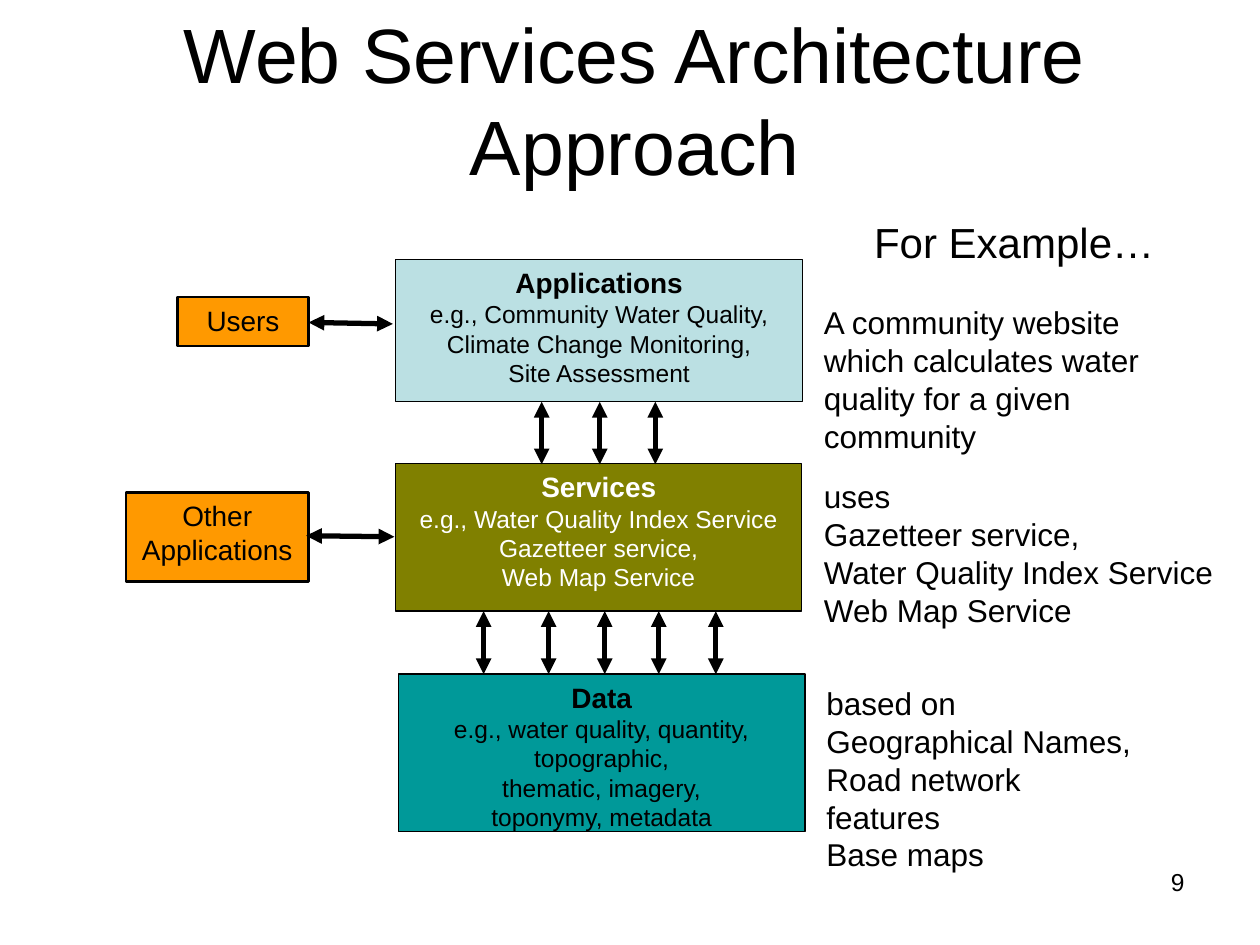
"""Build the web services architecture slide with its layers, clients and example notes."""
from lxml import etree
from pptx import Presentation
from pptx.dml.color import RGBColor
from pptx.enum.shapes import MSO_CONNECTOR, MSO_SHAPE
from pptx.enum.text import MSO_ANCHOR, PP_ALIGN
from pptx.oxml.ns import qn
from pptx.util import Cm, Pt

RECTANGLE, STRAIGHT = MSO_SHAPE.RECTANGLE, MSO_CONNECTOR.STRAIGHT
TOP, MIDDLE = MSO_ANCHOR.TOP, MSO_ANCHOR.MIDDLE
LEFT, CENTER, RIGHT = PP_ALIGN.LEFT, PP_ALIGN.CENTER, PP_ALIGN.RIGHT
FONT, BLACK, WHITE, ORANGE = "Arial", "000000", "FFFFFF", "FF9900"

TITLE = "Web Services Architecture Approach"
TITLE_PLACE = (1.47, 0, 22.66, 3.99)
LAYERS = [
    ((7.98, 5.23, 8.2, 2.87), "BBE0E3", BLACK,
     ["Applications", "e.g., Community Water Quality,", "Climate Change Monitoring,",
      "Site Assessment"]),
    ((7.98, 9.35, 8.18, 2.97), "808000", WHITE,
     ["Services", "e.g., Water Quality Index Service", "Gazetteer service,",
      "Web Map Service"]),
    ((8.03, 13.59, 8.2, 3.18), "009999", BLACK,
     ["Data", "e.g., water quality, quantity,", "topographic,", "thematic, imagery,",
      "toponymy, metadata"]),
]
CLIENTS = [
    ((3.58, 5.99, 2.64, 0.99), ["Users"]),
    ((2.54, 9.93, 3.68, 1.8), ["Other", "Applications"]),
]
NOTES = [
    ((17.37, 4.24, 6.15, 1.27), 24, CENTER, False, ["For Example…"]),
    ((16.36, 5.99, 7.9, 2.34), 18, LEFT, True,
     ["A community website which calculates water quality for a given community"]),
    ((16.36, 9.5, 8.38, 3.3), 18, LEFT, False,
     ["uses", "Gazetteer service,", "Water Quality Index Service", "Web Map Service"]),
    ((16.41, 13.67, 6.88, 3.3), 18, LEFT, False,
     ["based on", "Geographical Names,", "Road network features", "Base maps"]),
    ((18.21, 17.35, 5.92, 1.32), 14, RIGHT, True, ["9"]),
]
LAYER_ARROWS = [
    (8.1, 9.36, [10.92, 12.09, 13.21]),
    (12.32, 13.59, [9.75, 11.06, 12.19, 13.28, 14.43]),
]
CLIENT_ARROWS = [(7.92, 6.53, 6.22, 6.5), (7.95, 10.82, 6.17, 10.8)]


def color(value):
    return RGBColor.from_string(value)


def write(shape, lines, sizes, text_color=BLACK, align=CENTER, wrap=True,
          anchor=TOP, bold_first=False):
    """Fill a shape with lines, the first in sizes[0] and the rest in sizes[-1]."""
    frame = shape.text_frame
    frame.text = "\n".join(lines)
    frame.word_wrap = wrap
    frame.vertical_anchor = anchor
    for index, para in enumerate(frame.paragraphs):
        para.alignment = align
        for span in para.runs:
            span.font.name = FONT
            span.font.size = Pt(sizes[0] if index == 0 else sizes[-1])
            span.font.bold = bold_first and index == 0
            span.font.color.rgb = color(text_color)


def add_box(slide, place, fill, line_width):
    box = slide.shapes.add_shape(RECTANGLE, *map(Cm, place))
    box.shadow.inherit = False
    box.fill.solid()
    box.fill.fore_color.rgb = color(fill)
    box.line.color.rgb = color(BLACK)
    box.line.width = Pt(line_width)
    return box


def add_arrow(slide, points):
    """Draw a thick line with a triangle at both ends."""
    arrow = slide.shapes.add_connector(STRAIGHT, *map(Cm, points))
    arrow.line.color.rgb = color(BLACK)
    arrow.line.width = Pt(3)
    outline = arrow.line._get_or_add_ln()
    for end in ("a:headEnd", "a:tailEnd"):
        etree.SubElement(outline, qn(end), type="triangle")
    etree.SubElement(arrow._element.spPr, qn("a:effectLst"))


def main():
    deck = Presentation()
    deck.slide_width, deck.slide_height = Cm(25.4), Cm(19.05)
    slide = deck.slides.add_slide(deck.slide_layouts[5])

    title = slide.shapes.title
    title.left, title.top, title.width, title.height = map(Cm, TITLE_PLACE)
    write(title, [TITLE], [44], anchor=MIDDLE)

    for place, fill, text_color, lines in LAYERS:
        box = add_box(slide, place, fill, 0.75)
        write(box, lines, [16, 14], text_color, wrap=False, bold_first=True)
    for place, lines in CLIENTS:
        write(add_box(slide, place, ORANGE, 1.5), lines, [16])

    for top, bottom, columns in LAYER_ARROWS:
        for column in columns:
            add_arrow(slide, (column, top, column, bottom))
    for points in CLIENT_ARROWS:
        add_arrow(slide, points)

    for place, size, align, wrap, lines in NOTES:
        note = slide.shapes.add_textbox(*map(Cm, place))
        write(note, lines, [size], align=align, wrap=wrap)

    deck.save("out.pptx")


if __name__ == "__main__":
    main()
